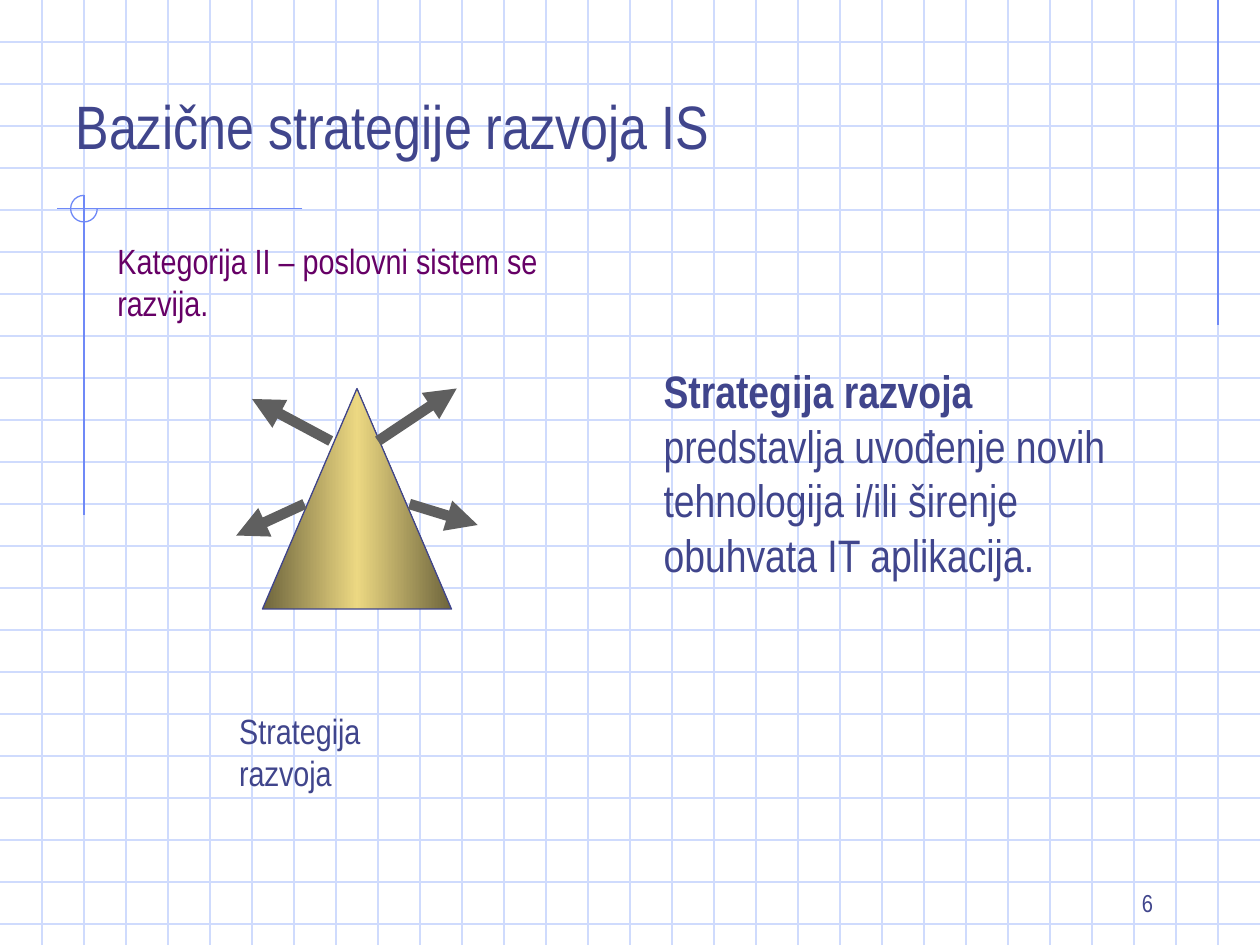
import copy

import pptx
import pptx.dml.color
import pptx.enum.shapes
import pptx.enum.text
import pptx.oxml
import pptx.oxml.ns
import pptx.util

Pt = pptx.util.Pt
SHAPES = pptx.enum.shapes.MSO_SHAPE
ALIGN = pptx.enum.text.PP_ALIGN
ANCHOR = pptx.enum.text.MSO_ANCHOR
AUTO_SIZE = pptx.enum.text.MSO_AUTO_SIZE

FONT = "Arial Narrow"
INK = "40458C"
PURPLE = "660066"
GRID = "CFDBFD"
ACCENT = "6F89F7"
GRAY = "5F5F5F"
GOLD = "ECD882"
DARK_GOLD = "6D643C"
WIDTH, HEIGHT = 720, 540


def color(value):
    return pptx.dml.color.RGBColor.from_string(value)


def add_element(parent, tag, **attributes):
    child = pptx.oxml.parse_xml(f"<a:{tag} {pptx.oxml.ns.nsdecls('a')}/>")
    for name, value in attributes.items():
        child.set(name, value)
    parent.append(child)


def set_place(shape, box):
    shape.left, shape.top, shape.width, shape.height = map(Pt, box)


def add_line(page, start, end, line_color, width=0.75, arrow=False):
    line = page.shapes.add_connector(
        pptx.enum.shapes.MSO_CONNECTOR.STRAIGHT, *map(Pt, start + end))
    line.line.color.rgb = color(line_color)
    line.line.width = Pt(width)
    if arrow:
        add_element(line.line._get_or_add_ln(), "tailEnd", type="triangle")
    add_element(line._element.spPr, "effectLst")


def write_text(shape, *texts, size, font_color=INK, bold_first=False,
               align=ALIGN.LEFT, anchor=ANCHOR.TOP, wrap=True):
    """Fill one paragraph with the given spans of text."""
    frame = shape.text_frame
    frame.word_wrap = wrap
    frame.auto_size = AUTO_SIZE.NONE if wrap else AUTO_SIZE.SHAPE_TO_FIT_TEXT
    frame.vertical_anchor = anchor
    para = frame.paragraphs[0]
    para.alignment = align
    para.space_before = Pt(0)
    for index, text in enumerate(texts):
        span = para.add_run()
        span.text = text
        span.font.name = FONT
        span.font.size = Pt(size)
        span.font.bold = bold_first and index == 0
        span.font.color.rgb = color(font_color)
    return para


def add_text(page, box, text, **text_format):
    write_text(page.shapes.add_textbox(*map(Pt, box)), text, **text_format)


def draw_grid(page, box, step=24):
    left, top, width, height = box
    for y in range(top + step, top + height, step):
        add_line(page, (left, y), (left + width, y), GRID)
    for x in range(left + step, left + width, step):
        add_line(page, (x, top), (x, top + height), GRID)


def draw_accents(page, box):
    """Right margin rule, and the crossed rules with their open circle."""
    left, top, width, height = box
    add_line(page, (left + width - 24, top), (left + width - 24, top + 186), ACCENT)
    center_x, center_y, radius = left + 48, top + 119.25, 7.6
    add_line(page, (left + 172.8, center_y), (left + 32.4, center_y), ACCENT)
    add_line(page, (center_x, center_y - radius), (center_x, top + 294.5), ACCENT)
    circle = page.shapes.add_shape(
        SHAPES.ARC, Pt(center_x - radius), Pt(center_y - radius),
        Pt(2 * radius), Pt(2 * radius))
    circle.adjustments[0] = 0
    circle.adjustments[1] = 162  # 270 degrees
    circle.shadow.inherit = False
    circle.fill.background()
    circle.line.color.rgb = color(ACCENT)
    circle.line.width = Pt(0.75)


def draw_pyramid(page, box):
    """Gradient triangle with four arrows pointing outwards."""
    left, top, width, height = box
    triangle = page.shapes.add_shape(SHAPES.ISOSCELES_TRIANGLE, *map(Pt, box))
    triangle.shadow.inherit = False
    triangle.line.color.rgb = color(INK)
    triangle.line.width = Pt(0.75)
    triangle.fill.gradient()
    triangle.fill.gradient_angle = 0
    first = triangle.fill.gradient_stops[0]._gs
    first.addnext(copy.deepcopy(first))
    stops = zip(triangle.fill.gradient_stops, (0, 0.5, 1),
                (DARK_GOLD, GOLD, DARK_GOLD))
    for stop, position, stop_color in stops:
        stop.position = position
        stop.color.rgb = color(stop_color)

    arrows = [((39, 30), (-6, 6)), ((66, 30), (111, 0)),
              ((24, 66), (-15, 84)), ((84, 66), (123, 78))]
    for arrow in arrows:
        start, end = ((left + x, top + y) for x, y in arrow)
        add_line(page, start, end, GRAY, width=6, arrow=True)


def place_title(page, box):
    title = page.shapes.title
    set_place(title, box)
    write_text(title, "Bazične strategije razvoja IS", size=35, anchor=ANCHOR.BOTTOM)
    page.shapes._spTree.append(title._element)  # in front of the grid


def place_description(page, box):
    body = page.placeholders[1]
    set_place(body, box)
    properties = body.text_frame.paragraphs[0]._p.get_or_add_pPr()
    properties.set("marL", "0")
    properties.set("indent", "0")
    add_element(properties, "buNone")
    write_text(body, "Strategija razvoja",
               " predstavlja uvođenje novih tehnologija i/ili širenje "
               "obuhvata IT aplikacija.", size=26, bold_first=True)
    page.shapes._spTree.append(body._element)


def build_slide(deck):
    page = deck.slides.add_slide(deck.slide_layouts[1])
    page.background.fill.solid()
    page.background.fill.fore_color.rgb = color("FFFFFF")

    # Backdrop
    draw_grid(page, (0, 0, WIDTH, HEIGHT))
    draw_accents(page, (0, 0, WIDTH, HEIGHT))
    add_text(page, (516, 492, 150, 36), "6", size=14,
             align=ALIGN.RIGHT, anchor=ANCHOR.BOTTOM)

    # Content
    place_title(page, (36, 30, 594, 66))
    draw_pyramid(page, (150, 222, 108, 126))
    add_text(page, (129.6, 402, 141.1, 31.5), "Strategija razvoja",
             size=20, wrap=False)
    place_description(page, (372, 204, 297, 293))
    add_text(page, (60, 133.5, 311, 31.5),
             "Kategorija II – poslovni sistem se razvija.",
             size=20, font_color=PURPLE, wrap=False)


def main():
    deck = pptx.Presentation()
    deck.slide_width, deck.slide_height = Pt(WIDTH), Pt(HEIGHT)
    build_slide(deck)
    deck.save("out.pptx")


if __name__ == "__main__":
    main()
